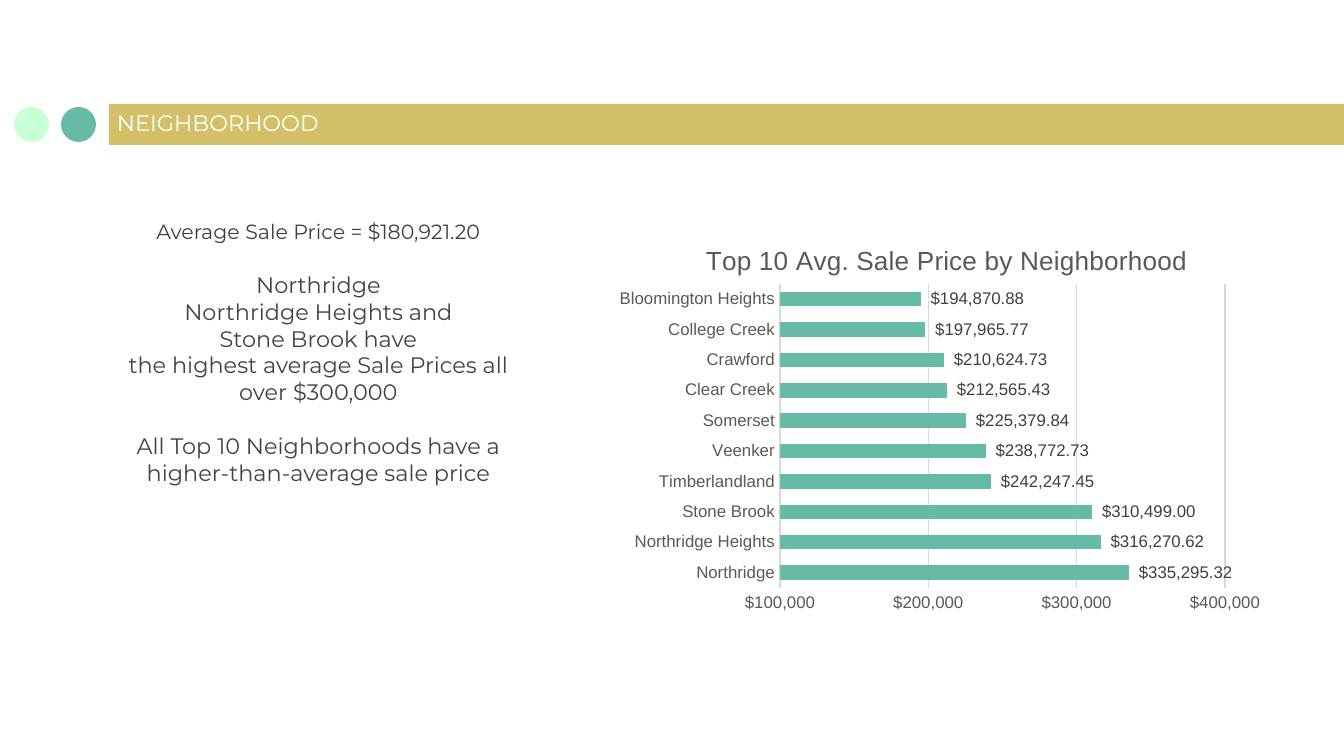
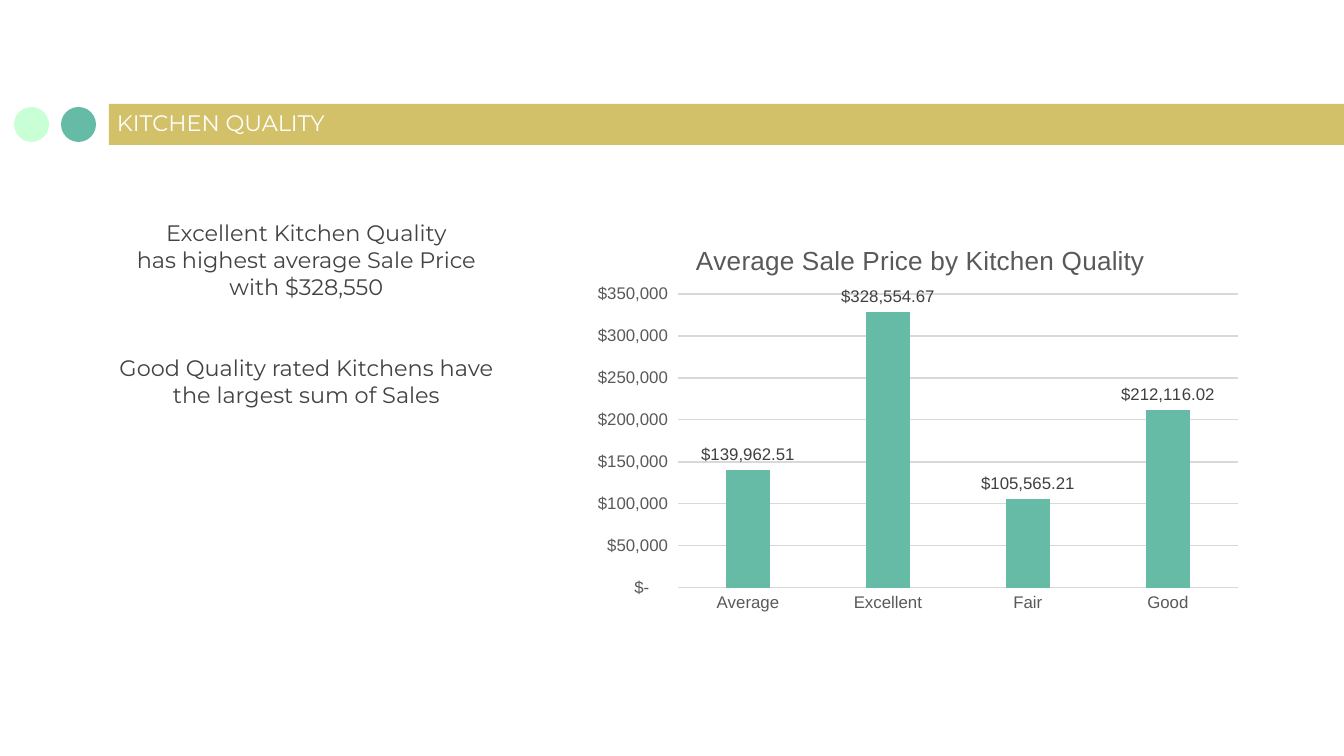
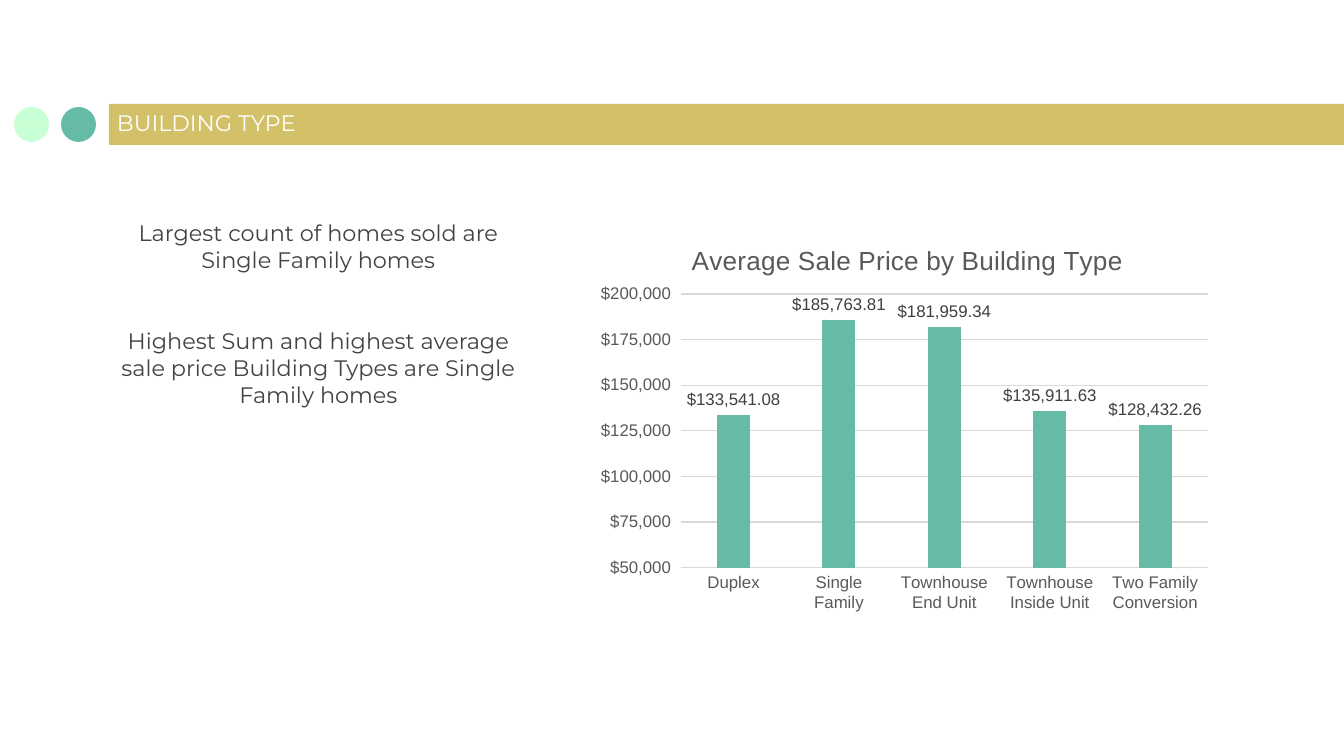
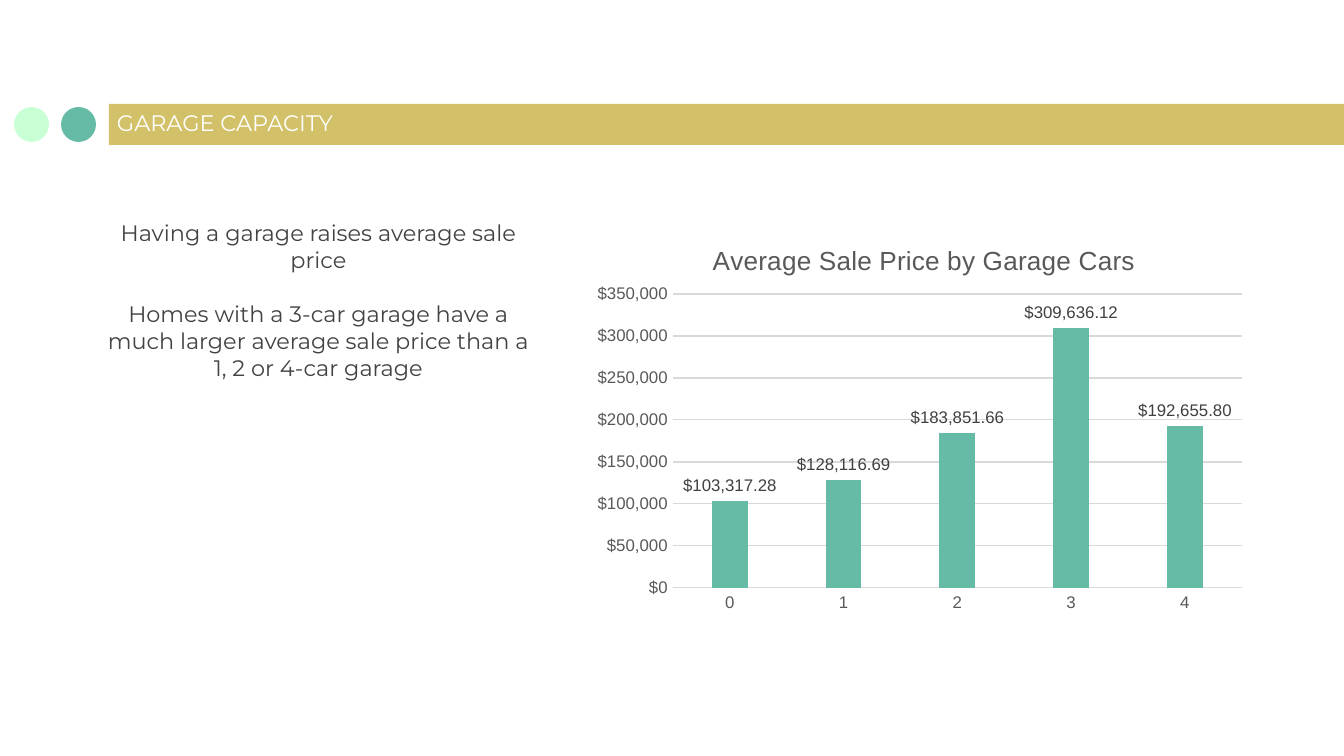
from dataclasses import dataclass

from lxml.etree import SubElement
from pptx import Presentation
from pptx.chart.data import CategoryChartData
from pptx.dml.color import RGBColor as Color
from pptx.enum.chart import XL_CHART_TYPE as ChartType
from pptx.enum.chart import XL_LABEL_POSITION as LabelPosition
from pptx.enum.chart import XL_TICK_MARK as TickMark
from pptx.enum.shapes import MSO_SHAPE as ShapeKind
from pptx.enum.text import MSO_ANCHOR as Anchor
from pptx.enum.text import MSO_AUTO_SIZE as AutoSize
from pptx.enum.text import PP_ALIGN as Align
from pptx.oxml.ns import qn
from pptx.util import Emu, Pt

EMU_PER_PX = 914400 / 134.4
ACCOUNTING = '_("$"* #,##0_);_("$"* \\(#,##0\\);_("$"* "-"??_);_(@_)'
ACCOUNTING_CENTS = '_("$"* #,##0.00_);_("$"* \\(#,##0.00\\);_("$"* "-"??_);_(@_)'


@dataclass(frozen=True)
class Theme:
    """Colours, fonts and type sizes of the deck."""
    gold: str = "D3C169"
    teal: str = "65BBA5"
    mint: str = "C9FFD5"
    white: str = "FFFFFF"
    black: str = "000000"
    body: str = "434343"
    label: str = "404040"
    axis: str = "595959"
    grid: str = "D9D9D9"
    text_font: str = "Montserrat"
    chart_font: str = "Arial"
    text_size: float = 12
    small_size: float = 11
    chart_title_size: float = 14
    chart_size: float = 10
    axis_size: float = 9
    line_width: float = 0.75
    blank_line: float = 14.6


def px(value):
    """Turn pixels into EMU."""
    return Emu(round(value * EMU_PER_PX))


def apply(target, values):
    """Set each attribute of the target from a dict."""
    for name, value in values.items():
        setattr(target, name, value)


def style_font(font, name, size, color):
    """Set typeface, size and colour of a font."""
    apply(font, {"name": name, "size": Pt(size), "bold": False})
    font.color.rgb = Color.from_string(color)


def style_line(line, color, width):
    """Give a line a solid colour and width."""
    line.color.rgb = Color.from_string(color)
    line.width = Pt(width)


def place_chart_part(parent, index, fractions, inner=False):
    """Give a chart part a manual layout in fractions of the chart."""
    for old in parent.findall(qn("c:layout")):
        parent.remove(old)
    layout = SubElement(parent, qn("c:layout"))
    parent.insert(index, layout)
    manual = SubElement(layout, qn("c:manualLayout"))
    settings = {"layoutTarget": "inner"} if inner else {}
    settings |= {"xMode": "edge", "yMode": "edge"}
    settings |= {name: f"{value:.4f}" for name, value in zip("xywh", fractions)}
    for name, value in settings.items():
        SubElement(manual, qn(f"c:{name}")).set("val", value)


class Deck:
    """Holds the theme, the presentation and the current slide."""

    def __init__(self, theme):
        """Open a wide presentation."""
        self.theme = theme
        self.presentation = Presentation()
        apply(self.presentation, {"slide_width": px(1344), "slide_height": px(756)})
        self.layout = self.presentation.slide_layouts[1]
        self.slide = None

    def add_slide(self):
        """Start a new slide, decorating the layout the first time."""
        first = self.slide is None
        self.slide = self.presentation.slides.add_slide(self.layout)
        if first:
            self.decorate_layout()

    def decorate_layout(self):
        """Put the title band and the two dots on the shared layout."""
        parts = [
            (ShapeKind.RECTANGLE, (109, 104, 1277, 41), self.theme.gold),
            (ShapeKind.OVAL, (61, 107, 35, 35), self.theme.teal),
            (ShapeKind.OVAL, (14, 107, 35, 35), self.theme.mint),
        ]
        for number, (kind, box, color) in enumerate(parts):
            element = self.add_shape(kind, box, color)._element
            element.nvSpPr.cNvPr.set("id", str(100 + number))
            self.layout.shapes._spTree.insert(2 + number, element)

    def add_shape(self, kind, box, color):
        """Add a plain filled shape."""
        shape = self.slide.shapes.add_shape(kind, *map(px, box))
        shape.shadow.inherit = False
        shape.fill.solid()
        shape.fill.fore_color.rgb = Color.from_string(color)
        shape.line.fill.background()
        return shape

    def place_text(self, shape, box, margins, anchor):
        """Move a placeholder and set its text frame."""
        apply(shape, dict(zip(("left", "top", "width", "height"), map(px, box))))
        frame = shape.text_frame
        sides = ("margin_left", "margin_top", "margin_right", "margin_bottom")
        apply(frame, dict(zip(sides, map(px, margins))))
        apply(frame, {"word_wrap": True, "auto_size": AutoSize.NONE,
                      "vertical_anchor": anchor})
        return frame

    def add_run(self, paragraph, text, size, color, alignment):
        """Fill a paragraph with one formatted run."""
        paragraph.alignment = alignment
        run = paragraph.add_run()
        run.text = text
        style_font(run.font, self.theme.text_font, size, color)

    def add_title(self, text):
        """Fill the title placeholder over the band."""
        frame = self.place_text(self.slide.shapes.title, (104, 103, 737, 46),
                                (13, 13, 13, 13), Anchor.BOTTOM)
        self.add_run(frame.paragraphs[0], text, self.theme.text_size,
                     self.theme.white, Align.LEFT)

    def add_body(self, box, lines, lead=None):
        """Fill the body placeholder with (gap in lines, text) pairs."""
        theme = self.theme
        frame = self.place_text(self.slide.placeholders[1], box,
                                (0, 1, 0, 0), Anchor.TOP)
        entries = [(gap, text, theme.text_size, theme.body) for gap, text in lines]
        if lead:
            entries.insert(0, (0, lead, theme.small_size, theme.label))
        for index, (gap, text, size, color) in enumerate(entries):
            paragraph = frame.add_paragraph() if index else frame.paragraphs[0]
            properties = paragraph._p.get_or_add_pPr()
            apply(properties, {"marL": 0, "indent": 0})
            properties.set("marL", "0")
            properties.set("indent", "0")
            SubElement(properties, qn("a:buNone"))
            paragraph.space_before = Pt(gap * theme.blank_line)
            self.add_run(paragraph, text, size, color, Align.CENTER)

    def add_chart(self, title, title_left, box, plot_box, prices, kind=ChartType.COLUMN_CLUSTERED,
                  gap=219, overlap=-27, scale=None, formats=(ACCOUNTING, ACCOUNTING_CENTS)):
        """Add a one-series price chart with value labels."""
        theme = self.theme
        axis_format, label_format = formats
        data = CategoryChartData()
        data.categories = list(prices)
        data.add_series("Series 1", list(prices.values()))
        chart = self.slide.shapes.add_chart(kind, *map(px, box), data).chart
        style_font(chart.font, theme.chart_font, theme.chart_size, theme.black)
        apply(chart, {"has_legend": False, "has_title": True})
        self.style_chart_title(chart, title)
        left, top, width, height = box
        place_chart_part(chart.chart_title._element, 1,
                         ((title_left - left) / width, (239 - top) / height))
        plot_left, plot_top, plot_width, plot_height = plot_box
        place_chart_part(chart._chartSpace.chart.plotArea, 0,
                         ((plot_left - left) / width, (plot_top - top) / height,
                          plot_width / width, plot_height / height), inner=True)
        self.style_axes(chart, axis_format, scale or {})
        plot = chart.plots[0]
        apply(plot, {"gap_width": gap, "overlap": overlap,
                     "vary_by_categories": False, "has_data_labels": True})
        fill = plot.series[0].format.fill
        fill.solid()
        fill.fore_color.rgb = Color.from_string(theme.teal)
        apply(plot.data_labels, {"show_value": True, "position": LabelPosition.OUTSIDE_END,
                                 "number_format": label_format,
                                 "number_format_is_linked": False})
        style_font(plot.data_labels.font, theme.chart_font, theme.axis_size, theme.label)

    def style_chart_title(self, chart, text):
        """Write the chart title."""
        theme = self.theme
        run = chart.chart_title.text_frame.paragraphs[0].add_run()
        run.text = text
        style_font(run.font, theme.chart_font, theme.chart_title_size, theme.axis)

    def style_axes(self, chart, number_format, scale):
        """Format both axes and the grid lines."""
        theme = self.theme
        category, value = chart.category_axis, chart.value_axis
        for axis in (category, value):
            apply(axis, {"major_tick_mark": TickMark.NONE, "minor_tick_mark": TickMark.NONE})
            style_font(axis.tick_labels.font, theme.chart_font, theme.axis_size, theme.axis)
        category.has_major_gridlines = False
        style_line(category.format.line, theme.grid, theme.line_width)
        apply(value, {"has_major_gridlines": True, **scale})
        apply(value.tick_labels, {"number_format": number_format,
                                  "number_format_is_linked": False})
        style_line(value.major_gridlines.format.line, theme.grid, theme.line_width)
        value.format.line.fill.background()


SLIDES = [
    {
        "title": "NEIGHBORHOOD",
        "body": {
            "box": (104, 218, 429, 458),
            "lead": "Average Sale Price = $180,921.20",
            "lines": [(1, "Northridge"), (0, "Northridge Heights and"),
                      (0, "Stone Brook have"),
                      (0, "the highest average Sale Prices all over $300,000"),
                      (1, "All Top 10 Neighborhoods have a higher-than-average sale price")],
        },
        "chart": {
            "title": "Top 10 Avg. Sale Price by Neighborhood", "title_left": 701,
            "box": (606, 218, 672, 403), "plot_box": (780, 284, 445, 304),
            "kind": ChartType.BAR_CLUSTERED, "gap": 109, "overlap": 0,
            "scale": {"minimum_scale": 100000, "major_unit": 100000},
            "prices": {"Northridge": 335295.32, "Northridge Heights": 316270.62,
                       "Stone Brook": 310499, "Timberlandland": 242247.45,
                       "Veenker": 238772.73, "Somerset": 225379.84,
                       "Clear Creek": 212565.43, "Crawford": 210624.73,
                       "College Creek": 197965.77, "Bloomington Heights": 194870.88},
        },
    },
    {
        "title": "KITCHEN QUALITY",
        "body": {
            "box": (92, 218, 429, 413),
            "lines": [(0, "Excellent Kitchen Quality"), (0, "has highest average Sale Price"),
                      (0, "with $328,550"), (2, "Good Quality rated Kitchens have"),
                      (0, "the largest sum of Sales")],
        },
        "chart": {
            "title": "Average Sale Price by Kitchen Quality", "title_left": 691,
            "box": (579, 218, 672, 403), "plot_box": (678, 294, 560, 294),
            "prices": {"Average": 139962.51, "Excellent": 328554.67,
                       "Fair": 105565.21, "Good": 212116.02},
        },
    },
    {
        "title": "BUILDING TYPE",
        "body": {
            "box": (104, 218, 429, 411),
            "lines": [(0, "Largest count of homes sold are Single Family homes"),
                      (2, "Highest Sum and highest average sale price Building Types "
                          "are Single Family homes")],
        },
        "chart": {
            "title": "Average Sale Price by Building Type", "title_left": 687,
            "box": (583, 218, 637, 403), "plot_box": (681, 294, 527, 274),
            "scale": {"minimum_scale": 50000, "major_unit": 25000},
            "prices": {"Duplex": 133541.08, "Single Family": 185763.81,
                       "Townhouse End Unit": 181959.34, "Townhouse Inside Unit": 135911.63,
                       "Two Family Conversion": 128432.26},
        },
    },
    {
        "title": "GARAGE CAPACITY",
        "body": {
            "box": (104, 218, 429, 278),
            "lines": [(0, "Having a garage raises average sale price"),
                      (1, "Homes with a 3-car garage have a much larger average sale price "
                          "than a 1, 2 or 4-car garage")],
        },
        "chart": {
            "title": "Average Sale Price by Garage Cars", "title_left": 708,
            "box": (583, 218, 672, 403), "plot_box": (673, 294, 569, 294),
            "formats": ('"$"#,##0', '"$"#,##0.00'),
            "prices": {"0": 103317.28, "1": 128116.69, "2": 183851.66,
                       "3": 309636.12, "4": 192655.8},
        },
    },
]


def main():
    """Build and save the deck."""
    deck = Deck(Theme())
    for content in SLIDES:
        deck.add_slide()
        deck.add_body(**content["body"])
        deck.add_title(content["title"])
        deck.add_chart(**content["chart"])
    deck.presentation.save("out.pptx")


if __name__ == "__main__":
    main()
